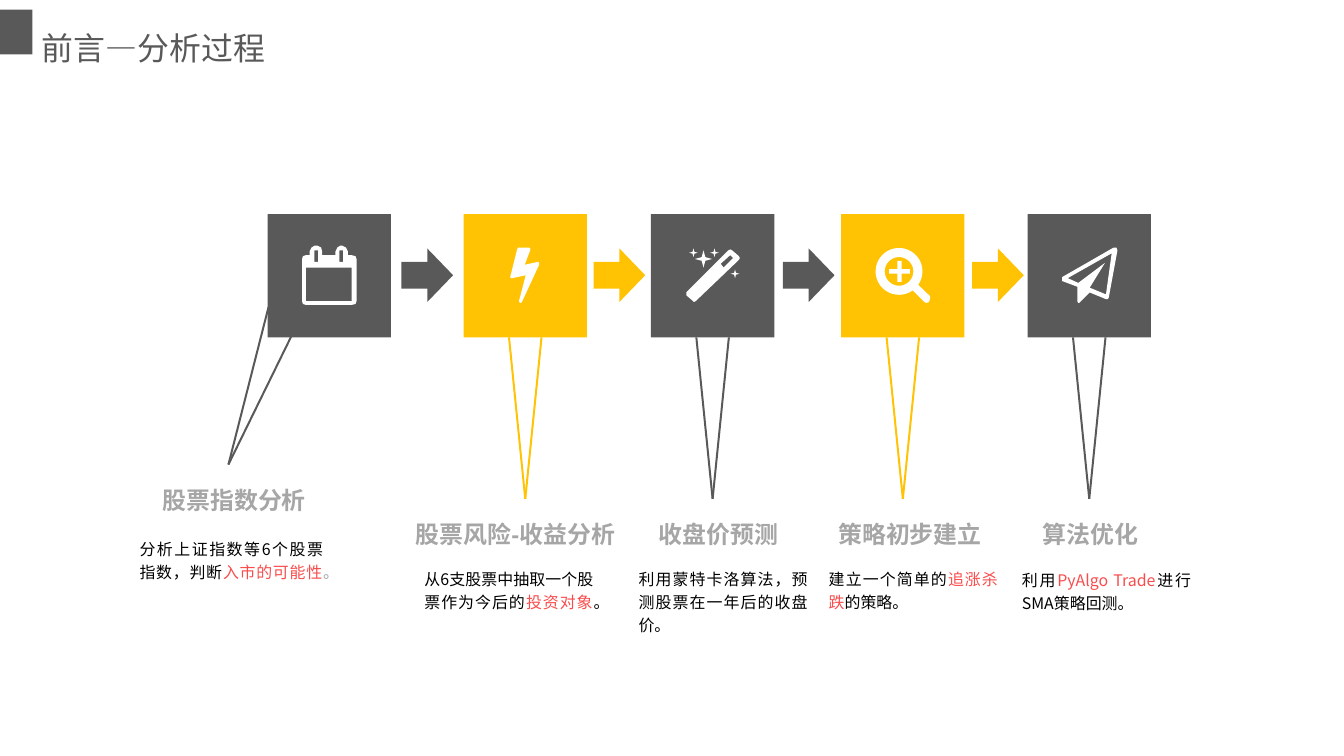
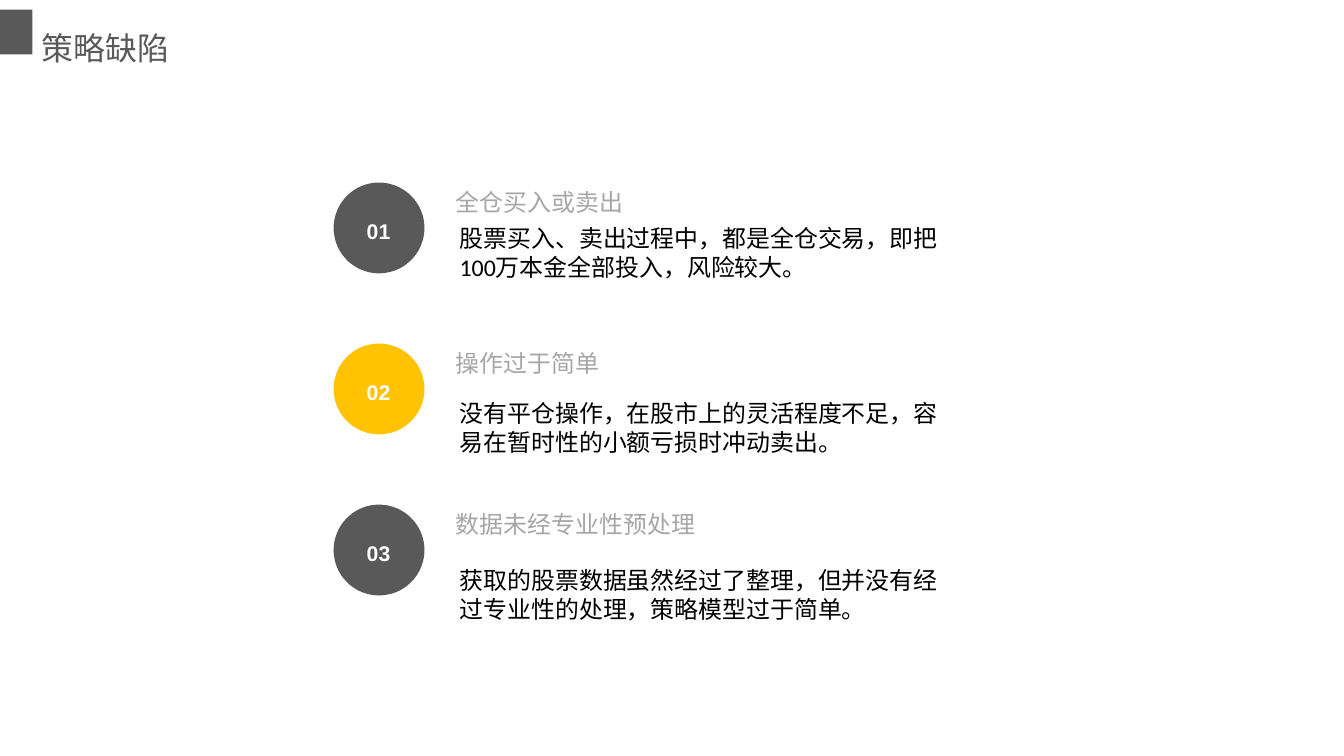
from dataclasses import dataclass
from math import cos, radians, sin
from typing import NamedTuple

from lxml.etree import SubElement
from pptx import Presentation
from pptx.dml.color import RGBColor as RGB
from pptx.enum.shapes import MSO_CONNECTOR as LINK, MSO_SHAPE as SHAPE
from pptx.enum.text import MSO_ANCHOR as ANCHOR, PP_ALIGN as ALIGN
from pptx.oxml.ns import qn
from pptx.shapes.autoshape import Shape
from pptx.slide import Slide
from pptx.util import Inches, Pt

Point = tuple[float, float]
Path = list[Point]


@dataclass(frozen=True)
class Theme:
    dark: RGB = RGB(0x59, 0x59, 0x59)
    gold: RGB = RGB(0xFF, 0xC3, 0x04)
    gray: RGB = RGB(0xA6, 0xA6, 0xA6)
    red: RGB = RGB(0xF9, 0x4D, 0x4D)
    black: RGB = RGB(0, 0, 0)
    white: RGB = RGB(0xFF, 0xFF, 0xFF)
    title: int = 24
    head: int = 18
    label: int = 16
    note: int = 12
    line: float = 1.5
    han: str = "Noto Sans CJK SC"


THEME = Theme()


class Box(NamedTuple):
    x: float
    y: float
    w: float
    h: float


class Style(NamedTuple):
    font: str
    size: int
    color: RGB
    bold: bool = False
    space: float = 1.2
    align: ALIGN = ALIGN.LEFT
    anchor: ANCHOR = ANCHOR.TOP
    inset: Point = (0, 0)


class Part(NamedTuple):
    text: str
    color: RGB | None = None


class Step(NamedTuple):
    x: float
    icon: list[Path]
    tip: Point
    feet: tuple[Point, Point]
    head: str
    spot: Box
    note: list[Part]
    area: Box


class Flaw(NamedTuple):
    head: str
    note: str
    top: float


TITLE = Style("Roboto Condensed", THEME.title, THEME.dark, space=1.5, inset=(0.1, 0.05))
TOPIC = Style("Arial", THEME.head, THEME.gray, anchor=ANCHOR.MIDDLE, inset=(0, 0.11))
HEAD = TOPIC._replace(bold=True)
LABEL = HEAD._replace(size=THEME.label, color=THEME.white, align=ALIGN.CENTER)
NOTE = Style(THEME.han, THEME.note, THEME.black, align=ALIGN.JUSTIFY)
DETAIL = Style("Calibri", THEME.head, THEME.black, space=1, inset=(0.1, 0.05))

TILE, ROW = 1.29, 2.24


def hue(index: int) -> RGB:
    return THEME.gold if index % 2 else THEME.dark


def add_text(slide: Slide, box: Box, parts: list[Part], style: Style) -> None:
    frame = slide.shapes.add_textbox(*map(Inches, box)).text_frame
    frame.word_wrap = True
    frame.vertical_anchor = style.anchor
    frame.margin_left = frame.margin_right = Inches(style.inset[0])
    frame.margin_top = frame.margin_bottom = Inches(style.inset[1])
    para = frame.paragraphs[0]
    para.alignment, para.line_spacing = style.align, style.space
    for part in parts:
        run = para.add_run()
        run.text = part.text
        font = run.font
        font.name, font.size, font.bold = style.font, Pt(style.size), style.bold
        font.color.rgb = part.color or style.color
        SubElement(font._element, qn("a:ea"), typeface=THEME.han)


def paint(shape: Shape, color: RGB) -> Shape:
    shape.shadow.inherit = False
    shape.fill.solid()
    shape.fill.fore_color.rgb = color
    shape.line.fill.background()
    return shape


def add_block(slide: Slide, kind: SHAPE, box: Box, color: RGB) -> Shape:
    return paint(slide.shapes.add_shape(kind, *map(Inches, box)), color)


def add_line(slide: Slide, start: Point, end: Point, color: RGB) -> None:
    line = slide.shapes.add_connector(LINK.STRAIGHT, *map(Inches, start + end))
    line.line.color.rgb = color
    line.line.width = Pt(THEME.line)
    SubElement(line.element.spPr, qn("a:effectLst"))


def add_icon(slide: Slide, x: float, y: float, paths: list[Path]) -> None:
    """Draw outlines, given in hundredths of an inch from the tile's corner."""
    spots = [[(Inches(x + u / 100), Inches(y + v / 100)) for u, v in path]
             for path in paths]
    pen = slide.shapes.build_freeform(*spots[0][0])
    pen.add_line_segments(spots[0][1:])
    for first, *rest in spots[1:]:
        pen.move_to(*first)
        pen.add_line_segments(rest)
    paint(pen.convert_to_shape(), THEME.white)


def rect(x: float, y: float, w: float, h: float) -> Path:
    return [(x, y), (x + w, y), (x + w, y + h), (x, y + h)]


def arc(x: float, y: float, r: float, start: int, end: int) -> Path:
    count = 40
    turns = [radians(start + (end - start) * i / count) for i in range(count + 1)]
    return [(x + r * cos(t), y + r * sin(t)) for t in turns]


def star(x: float, y: float, r: float) -> Path:
    """Outline a four-pointed star."""
    path = []
    for i in range(8):
        reach = r * 0.3 if i % 2 else r
        path.append((x + reach * cos(radians(45 * i)), y + reach * sin(radians(45 * i))))
    return path


def cross(x: float, y: float, r: float, t: float) -> Path:
    return [(x + a, y + b) for a, b in (
        (-r, -t), (-t, -t), (-t, -r), (t, -r), (t, -t), (r, -t),
        (r, t), (t, t), (t, r), (-t, r), (-t, t), (-r, t))]


DATES = [
    [(93, 91), (92, 94), (88, 95), (40, 95), (37, 94), (36, 91), (36, 47), (37, 44),
     (40, 43), (44, 43), (44, 39), (46, 35), (49, 33), (52, 33), (56, 35), (57, 39),
     (57, 43), (71, 43), (71, 39), (73, 35), (76, 33), (78, 33), (82, 35), (84, 39),
     (84, 43), (88, 43), (92, 44), (93, 47)],
    rect(40, 56, 48, 35), rect(49, 38, 4, 12), rect(75, 38, 4, 12)]
BOLT = [
    [(79, 53), (61, 92), (60, 93), (58, 92), (58, 91), (65, 64), (51, 67), (49, 67),
     (49, 65), (56, 37), (57, 35), (69, 35), (70, 37), (64, 53), (78, 50), (79, 51)]]
WAND = [
    [(92, 48), (47, 91), (45, 92), (44, 91), (37, 85), (37, 82), (81, 38), (83, 37),
     (85, 38), (92, 44), (93, 46)],
    [(86, 46), (83, 43), (73, 52), (76, 56)],
    star(44.5, 40.5, 4.5), star(66.5, 40.5, 4.5), star(88, 62.5, 4.5), star(55, 47, 9)]
ZOOM = [
    [(89, 93), (87, 92), *arc(60.5, 60, 24.5, 54, 395), (93, 86), (93, 88), (92, 92)],
    arc(60.5, 60, 15, 0, 360), cross(61, 60, 11, 2.3)]
PLANE = [
    [(94, 38), (85, 87), (84, 89), (82, 89), (65, 82), (55, 92), (54, 93), (53, 93),
     (52, 91), (52, 76), (36, 70), (36, 66), (90, 35), (93, 35)],
    [(88, 41), (42, 67), (53, 72), (81, 51), (65, 77), (82, 84)]]


def below(x: float, icon: list[Path], head: str, spot: Point, note: list[Part],
          area: Point) -> Step:
    """Make a step whose pointer drops straight down from its tile."""
    mid, foot = x + TILE / 2, ROW + TILE
    return Step(x, icon, (mid, 5.22), ((mid - 0.17, foot), (mid + 0.17, foot)),
                head, Box(spot[0], 5.37, spot[1], 0.37), note, Box(*area, 1.77, 0.46))


STEPS = [
    Step(2.8, DATES, (2.39, 4.86), ((2.81, 3.21), (3.14, 3.33)),
         "股票指数分析", Box(1.7, 5.02, 1.66, 0.37),
         [Part("分析上证指数等6个股票指数，判断"), Part("入市的可能性", THEME.red),
          Part("。", THEME.gray)], Box(1.46, 5.61, 1.92, 0.46)),
    below(4.85, BOLT, "股票风险-收益分析", (4.35, 2.11),
          [Part("从6支股票中抽取一个股票作为今后的"), Part("投资对象", THEME.red),
           Part("。")], (4.44, 5.92)),
    below(6.81, WAND, "收盘价预测", (6.89, 1.46),
          [Part("利用蒙特卡洛算法，预测股票在一年后的收盘价。")], (6.68, 5.92)),
    below(8.8, ZOOM, "策略初步建立", (8.77, 1.66),
          [Part("建立一个简单的"), Part("追涨杀跌", THEME.red), Part("的策略。")],
          (8.67, 5.92)),
    below(10.75, PLANE, "算法优化", (10.91, 1.46),
          [Part("利用"), Part("PyAlgo Trade", THEME.red), Part("进行SMA策略回测。")],
          (10.69, 5.93)),
]
ARROWS = [4.2, 6.21, 8.19, 10.17]

FLAWS = [
    Flaw("全仓买入或卖出",
         "股票买入、卖出过程中，都是全仓交易，即把100万本金全部投入，风险较大。", 2.29),
    Flaw("操作过于简单",
         "没有平仓操作，在股市上的灵活程度不足，容易在暂时性的小额亏损时冲动卖出。", 4.12),
    Flaw("数据未经专业性预处理",
         "获取的股票数据虽然经过了整理，但并没有经过专业性的处理，策略模型过于简单。", 5.87),
]


def add_title(slide: Slide, text: str) -> None:
    add_text(slide, Box(0.34, 0.05, 4.41, 0.63), [Part(text)], TITLE)


def add_band(slide: Slide) -> None:
    """Put the corner band on the layout that all slides share."""
    band = add_block(slide, SHAPE.RECTANGLE, Box(0, 0.1, 0.34, 0.47), THEME.dark)
    band.element.nvSpPr.cNvPr.set("id", "99")
    slide.slide_layout.shapes.element.append(band.element)


def draw_steps(slide: Slide) -> None:
    add_title(slide, "前言—分析过程")
    for i, step in enumerate(STEPS):
        for foot in step.feet:
            add_line(slide, step.tip, foot, hue(i))
        add_block(slide, SHAPE.RECTANGLE, Box(step.x, ROW, TILE, TILE), hue(i))
        add_icon(slide, step.x, ROW, step.icon)
        add_text(slide, step.spot, [Part(step.head)], HEAD)
        add_text(slide, step.area, step.note, NOTE)
    for i, x in enumerate(ARROWS):
        add_block(slide, SHAPE.RIGHT_ARROW, Box(x, 2.6, 0.54, 0.56), hue(i))


def draw_flaws(slide: Slide) -> None:
    add_title(slide, "策略缺陷")
    for i, flaw in enumerate(FLAWS):
        y = 1.91 + 1.685 * i
        disc = add_block(slide, SHAPE.ROUNDED_RECTANGLE, Box(3.49, y, 0.95, 0.95), hue(i))
        disc.adjustments[0] = 0.5
        add_text(slide, Box(3.59, y + 0.09, 0.74, 0.78), [Part(f"{i + 1:02}")], LABEL)
        add_text(slide, Box(4.77, y, 4.39, 0.34), [Part(flaw.head)], TOPIC)
        add_text(slide, Box(4.71, flaw.top, 5.32, 0.71), [Part(flaw.note)], DETAIL)


def main() -> None:
    deck = Presentation()
    deck.slide_width, deck.slide_height = Inches(14.06), Inches(7.91)
    blank = deck.slide_layouts[6]
    first, second = (deck.slides.add_slide(blank) for _ in range(2))
    add_band(first)
    draw_steps(first)
    draw_flaws(second)
    deck.save("out.pptx")


if __name__ == "__main__":
    main()
